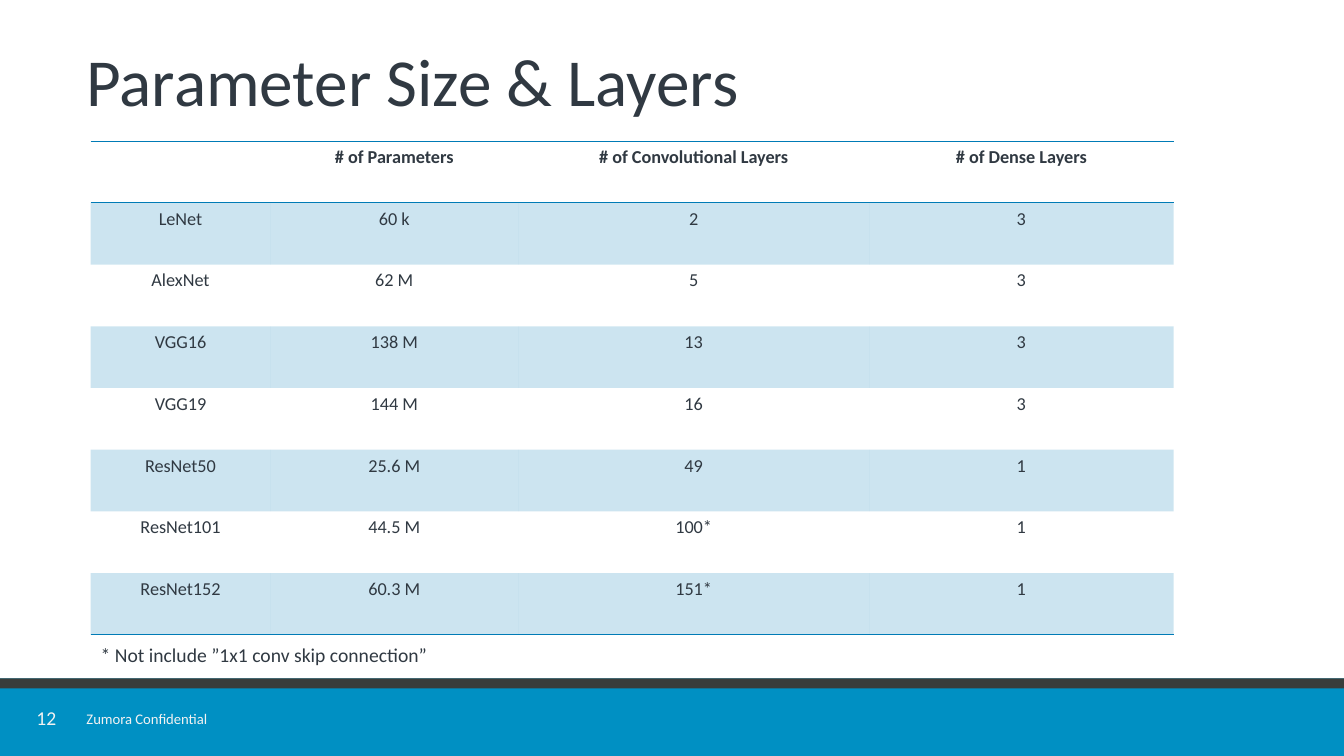
import pptx
import pptx.util
import pptx.dml.color
import pptx.enum.shapes
import pptx.enum.text
import pptx.oxml.ns
import lxml.etree

TITLE = "Parameter Size & Layers"
NETWORKS = [
    ("", "# of Parameters", "# of Convolutional Layers", "# of Dense Layers"),
    ("LeNet", "60 k", "2", "3"),
    ("AlexNet", "62 M", "5", "3"),
    ("VGG16", "138 M", "13", "3"),
    ("VGG19", "144 M", "16", "3"),
    ("ResNet50", "25.6 M", "49", "1"),
    ("ResNet101", "44.5 M", "100*", "1"),
    ("ResNet152", "60.3 M", "151*", "1"),
]
FOOTNOTE = "* Not include ”1x1 conv skip connection”"
PAGE_NUMBER = "12"
CONFIDENTIALITY = "Zumora Confidential"
COLORS = {"ink": "303942", "band": "007BB6", "footer": "0090C3",
          "stripe": "383D3B", "footer_text": "F2F2F2"}
FONT = "Calibri"
WIDTH, HEIGHT = 13.33, 7.5
FOOTER_TOP, STRIPE_HEIGHT = 6.73, 0.1
TABLE_LEFT, TABLE_TOP, TABLE_HEIGHT = 0.9, 1.4, 4.9
COLUMNS = (1.78, 2.46, 3.48, 3.02)
PLAIN_TABLE = "{2D5ABB26-0587-4C30-8999-92F81FD0307C}"
ALIGN = pptx.enum.text.PP_ALIGN
MIDDLE = pptx.enum.text.MSO_ANCHOR.MIDDLE
inch = pptx.util.Inches
qn = pptx.oxml.ns.qn


def rgb(color):
    return pptx.dml.color.RGBColor.from_string(COLORS[color])


def write(paragraph, words, size, color, bold=False):
    run = paragraph.add_run()
    run.text = words
    run.font.name = FONT
    run.font.size = pptx.util.Pt(size)
    run.font.bold = bold
    run.font.color.rgb = rgb(color)


def add_label(slide, place, words, size, color, wrap=True, anchor=None):
    frame = slide.shapes.add_textbox(*map(inch, place)).text_frame
    frame.word_wrap = wrap
    frame.vertical_anchor = anchor
    write(frame.paragraphs[0], words, size, color)
    return frame


def add_bar(slide, height, color):
    bar = slide.shapes.add_shape(
        pptx.enum.shapes.MSO_SHAPE.RECTANGLE,
        0, inch(FOOTER_TOP), inch(WIDTH), inch(height))
    bar.shadow.inherit = False
    bar.fill.solid()
    bar.fill.fore_color.rgb = rgb(color)
    bar.line.fill.background()


def add_rule(cell_properties, side, position):
    line = lxml.etree.Element(qn("a:" + side), w=str(pptx.util.Pt(1)))
    fill = lxml.etree.SubElement(line, qn("a:solidFill"))
    lxml.etree.SubElement(fill, qn("a:srgbClr"), val=COLORS["band"])
    cell_properties.insert(position, line)


def style_cell(cell, row):
    if row % 2:
        cell.fill.solid()
        cell.fill.fore_color.rgb = rgb("band")
        tint = cell._tc.tcPr.find(".//" + qn("a:srgbClr"))
        lxml.etree.SubElement(tint, qn("a:alpha"), val="20000")
    else:
        cell.fill.background()
    sides = {0: ("lnT", "lnB"), len(NETWORKS) - 1: ("lnB",)}.get(row, ())
    for position, side in enumerate(sides):
        add_rule(cell._tc.tcPr, side, position)


def add_networks(slide):
    table = slide.shapes.add_table(
        len(NETWORKS), len(COLUMNS), inch(TABLE_LEFT), inch(TABLE_TOP),
        inch(sum(COLUMNS)), inch(TABLE_HEIGHT)).table
    table._tbl.tblPr.find(qn("a:tableStyleId")).text = PLAIN_TABLE
    table.first_row = table.horz_banding = False
    for column, width in zip(table.columns, COLUMNS):
        column.width = inch(width)
    for row, values in enumerate(NETWORKS):
        for column, value in enumerate(values):
            cell = table.cell(row, column)
            style_cell(cell, row)
            paragraph = cell.text_frame.paragraphs[0]
            paragraph.alignment = ALIGN.CENTER
            if value:
                write(paragraph, value, 13, "ink", bold=row == 0)


def main():
    deck = pptx.Presentation()
    deck.slide_width, deck.slide_height = inch(WIDTH), inch(HEIGHT)
    slide = deck.slides.add_slide(deck.slide_layouts[6])
    add_bar(slide, HEIGHT - FOOTER_TOP, "footer")
    add_bar(slide, STRIPE_HEIGHT, "stripe")

    page = add_label(slide, (0.33, 7.02, 0.26, 0.23), PAGE_NUMBER, 14,
                     "footer_text", anchor=MIDDLE)
    page.margin_left = page.margin_right = page.margin_top = page.margin_bottom = 0
    page.paragraphs[0].alignment = ALIGN.CENTER
    page.paragraphs[0].line_spacing = 0.9
    add_label(slide, (0.76, 6.99, 1.6, 0.28), CONFIDENTIALITY, 10.5,
              "footer_text", wrap=False)

    heading = add_label(slide, (0.76, 0.32, 11.91, 1.08), TITLE, 48, "ink",
                        anchor=MIDDLE)
    heading.paragraphs[0].line_spacing = 0.8
    add_networks(slide)
    note = add_label(slide, (TABLE_LEFT, 6.33, 3.68, 0.34), FOOTNOTE, 14,
                     "ink", wrap=False).paragraphs[0]
    note.space_before = note.space_after = pptx.util.Pt(6)
    deck.save("out.pptx")


if __name__ == "__main__":
    main()
